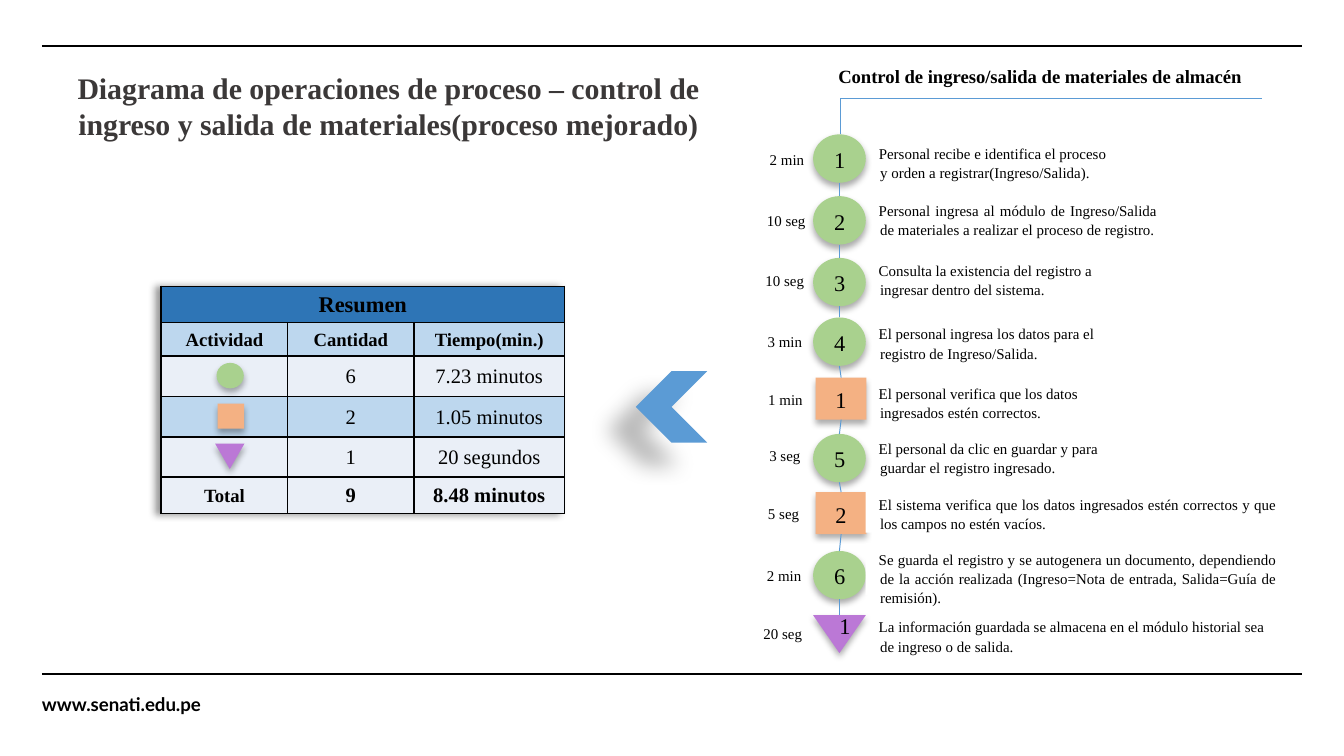
from dataclasses import dataclass
from lxml.etree import SubElement
from pptx import Presentation
from pptx.dml.color import RGBColor
from pptx.enum.shapes import MSO_CONNECTOR, MSO_SHAPE
from pptx.enum.text import MSO_ANCHOR, PP_ALIGN
from pptx.oxml.ns import qn
from pptx.util import Pt


@dataclass(frozen=True)
class Theme:
    ink: str = "000000"
    gray: str = "3B3838"
    white: str = "FFFFFF"
    green: str = "A9D18E"
    peach: str = "F4B183"
    plum: str = "BB78D6"
    blue: str = "5B9BD5"
    deep: str = "2E75B6"
    sky: str = "BDD7EE"
    pale: str = "EAEFF7"
    serif: str = "Times New Roman"
    sans: str = "Lato"
    title: int = 16
    head: int = 12
    cell: int = 11
    label: int = 10
    note: int = 8


T = Theme()
MID, LEFT, JUST = PP_ALIGN.CENTER, PP_ALIGN.LEFT, PP_ALIGN.JUSTIFY
ROUND, RECT, MERGE = MSO_SHAPE.OVAL, MSO_SHAPE.RECTANGLE, MSO_SHAPE.FLOWCHART_MERGE

deck = Presentation()
deck.slide_width, deck.slide_height = Pt(720), Pt(405)
slide = deck.slides.add_slide(deck.slide_layouts[6])
shapes = slide.shapes


def write(frame, text, size, align=LEFT, bold=False, color=T.ink, face=T.serif, step=False):
    frame.word_wrap = True
    para = frame.paragraphs[0]
    para.alignment = align
    if step:
        para.line_spacing = 1.07
        props = para._p.get_or_add_pPr()
        props.set("marL", str(Pt(0.72)))
        props.set("indent", str(-Pt(0.72)))
    run = para.add_run()
    run.text = text
    run.font.size, run.font.bold, run.font.name = Pt(size), bold, face
    run.font.color.rgb = RGBColor.from_string(color)
    return para


def form(kind, box, fill, blur=0, dist=0, turn=90, alpha=32):
    shape = shapes.add_shape(kind, *map(Pt, box))
    shape.shadow.inherit = False
    shape.fill.solid()
    shape.fill.fore_color.rgb = RGBColor.from_string(fill)
    shape.line.fill.background()
    if blur:
        glow = SubElement(shape._element.spPr.find(qn("a:effectLst")), qn("a:outerShdw"),
                          blurRad=str(Pt(blur)), dist=str(Pt(dist)),
                          dir=str(turn * 60000), algn="ctr", rotWithShape="0")
        tone = SubElement(glow, qn("a:srgbClr"), val=T.ink)
        SubElement(tone, qn("a:alpha"), val=str(alpha * 1000))
    return shape


lines = [(22.5, 24.5, 697.5, 24.5, T.ink, 1), (22.5, 361.3, 697.5, 361.3, T.ink, 1),
         (450, 72, 450, 52.7, T.blue, 0.5), (676, 52.7, 450, 52.7, T.blue, 0.5)]

site = shapes.add_textbox(Pt(22.5), Pt(373.7), Pt(92), Pt(9.4)).text_frame
site.margin_left = site.margin_right = site.margin_top = site.margin_bottom = 0
write(site, "www.senati.edu.pe", T.label, bold=True, face=T.sans).line_spacing = 0.8

title = shapes.add_textbox(Pt(25.2), Pt(33.8), Pt(365.8), Pt(46)).text_frame
write(title, "Diagrama de operaciones de proceso – control de ingreso y salida de "
      "materiales(proceso mejorado)", T.title, MID, True, T.gray)
head = shapes.add_textbox(Pt(442), Pt(31), Pt(242.6), Pt(19.4)).text_frame
write(head, "Control de ingreso/salida de materiales de almacén", T.label, bold=True)

looks = {ROUND: (435.6, 28.2, 25.9, T.green), RECT: (437, 27.2, 22.5, T.peach),
         MERGE: (435.6, 28.2, 20.3, T.plum)}
steps = [
    (ROUND, "1", 72, "2 min", 421.6, 85, 73.4, 137.5, LEFT,
     "Personal recibe e identifica el proceso y orden a registrar(Ingreso/Salida)."),
    (ROUND, "2", 105.1, "10 seg", 421.2, 117.7, 103.7, 163.4, JUST,
     "Personal ingresa al módulo de Ingreso/Salida de materiales a realizar el proceso de registro."),
    (ROUND, "3", 138.2, "10 seg", 420.5, 150.1, 136.1, 146.9, LEFT,
     "Consulta la existencia del registro a ingresar dentro del sistema."),
    (ROUND, "4", 170.1, "3 min", 420.5, 182.5, 169.9, 146.9, LEFT,
     "El personal ingresa los datos para el registro de Ingreso/Salida."),
    (RECT, "1", 202.3, "1 min", 420.8, 213.5, 201.6, 146.9, LEFT,
     "El personal verifica que los datos ingresados estén correctos."),
    (ROUND, "5", 232.5, "3 seg", 420.5, 243.7, 231.1, 146.9, LEFT,
     "El personal da clic en guardar y para guardar el registro ingresado."),
    (RECT, "2", 263.7, "5 seg", 419.8, 274.7, 261.4, 227.5, JUST,
     "El sistema verifica que los datos ingresados estén correctos y que los campos no estén vacíos."),
    (ROUND, "6", 295.2, "2 min", 420.1, 307.8, 290.9, 227.5, JUST,
     "Se guarda el registro y se autogenera un documento, dependiendo de la acción realizada "
     "(Ingreso=Nota de entrada, Salida=Guía de remisión)."),
    (MERGE, "1", 329.6, "20 seg", 419.4, 338.8, 326.9, 227.5, LEFT,
     "La información guardada se almacena en el módulo historial sea de ingreso o de salida."),
]
last = None
for kind, mark, top, time, mid, row, high, wide, align, note in steps:
    left, width, tall, fill = looks[kind]
    node = form(kind, (left, top, width, tall), fill, 3.5, 2.2)
    node.text_frame.vertical_anchor = MSO_ANCHOR.MIDDLE
    write(node.text_frame, mark, T.head, MID, step=True)
    axis = left + width / 2
    if last:
        lines.append((*last, axis, top, T.blue, 0.5))
    last = axis, top + tall

    clock = shapes.add_textbox(Pt(mid - 21), Pt(row - 5.4), Pt(42), Pt(10.8)).text_frame
    clock.vertical_anchor = MSO_ANCHOR.MIDDLE
    write(clock, time, T.note, MID, step=True)

    box = (463.7, high, wide, 28 if mark == "6" else 24)
    if mark in "26" and wide > 200:
        body = form(RECT, box, T.white).text_frame
        body.vertical_anchor = MSO_ANCHOR.TOP
    else:
        body = shapes.add_textbox(*map(Pt, box)).text_frame
    write(body, note, T.note, align, step=True)

for x, y, right, low, color, thick in lines:
    rule = shapes.add_connector(MSO_CONNECTOR.STRAIGHT, Pt(x), Pt(y), Pt(right), Pt(low))
    rule.line.color.rgb = RGBColor.from_string(color)
    rule.line.width = Pt(thick)
    SubElement(rule._element.spPr, qn("a:effectLst"))

rows = [
    (19.4, T.deep, ("Resumen", "", "")),
    (18, T.sky, ("Actividad", "Cantidad", "Tiempo(min.)")),
    (21.6, T.pale, ("", "6", "7.23 minutos")),
    (21.6, T.sky, ("", "2", "1.05 minutos")),
    (21.6, T.pale, ("", "1", "20 segundos")),
    (19.4, T.pale, ("Total", "9", "8.48 minutos")),
]
grid = shapes.add_table(6, 3, Pt(86.4), Pt(153.4), Pt(216), Pt(121.6)).table
for col, width in zip(grid.columns, (67.7, 67.7, 80.6)):
    col.width = Pt(width)
for r, (tall, fill, words) in enumerate(rows):
    grid.rows[r].height = Pt(tall)
    for c, word in enumerate(words):
        cell = grid.cell(r, c)
        cell.vertical_anchor = MSO_ANCHOR.MIDDLE
        cell.margin_left = cell.margin_right = cell.margin_top = Pt(0.72)
        cell.margin_bottom = 0
        for side in ("lnL", "lnR", "lnT", "lnB"):
            edge = SubElement(cell._tc.get_or_add_tcPr(), qn("a:" + side), w=str(Pt(1)))
            SubElement(SubElement(edge, qn("a:solidFill")), qn("a:srgbClr"), val=T.ink)
        cell.fill.solid()
        cell.fill.fore_color.rgb = RGBColor.from_string(fill)
        if word:
            size = T.head if r == 0 else T.label if r == 1 or word == "Total" else T.cell
            write(cell.text_frame, word, size, MID, r in (0, 1, 5))
        else:
            SubElement(cell.text_frame.paragraphs[0]._p, qn("a:endParaRPr"), sz=str(T.note * 100))
grid.cell(0, 0).merge(grid.cell(0, 2))
props = grid._tbl.tblPr
effect = SubElement(props, qn("a:effectLst"))
props.insert(0, effect)
glow = SubElement(effect, qn("a:outerShdw"), blurRad=str(Pt(4)), dist=str(Pt(3)), dir="10800000")
SubElement(SubElement(glow, qn("a:srgbClr"), val=T.ink), qn("a:alpha"), val="40000")

for kind, box in ((ROUND, (116, 194.4, 14.6, 13.7)), (RECT, (116.6, 216.2, 14.2, 13.4)),
                  (MERGE, (115.2, 237.6, 15.8, 13.7))):
    form(kind, box, looks[kind][3], 3.5, 2.2)
form(MSO_SHAPE.CHEVRON, (340.6, 198.9, 38.2, 38.2), T.blue, 11.8, 19.7, 141, 28).rotation = 180

deck.save("out.pptx")
